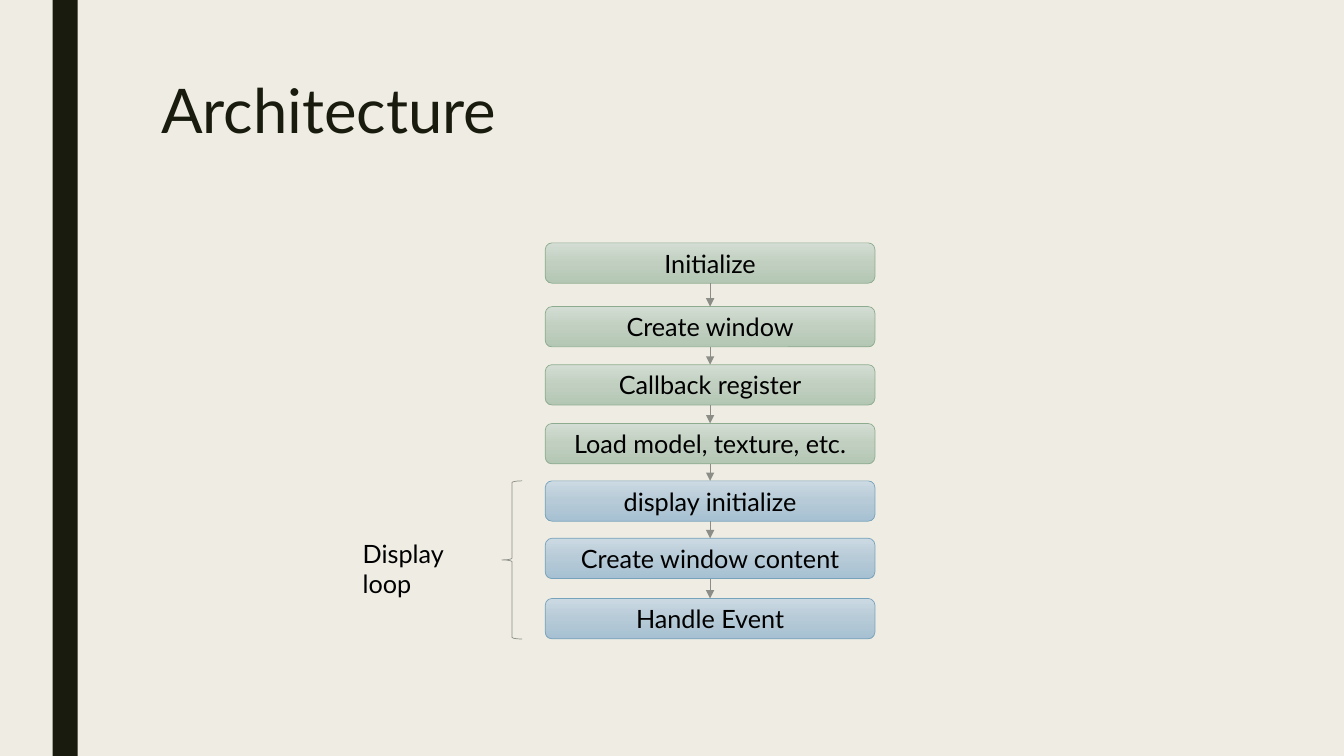
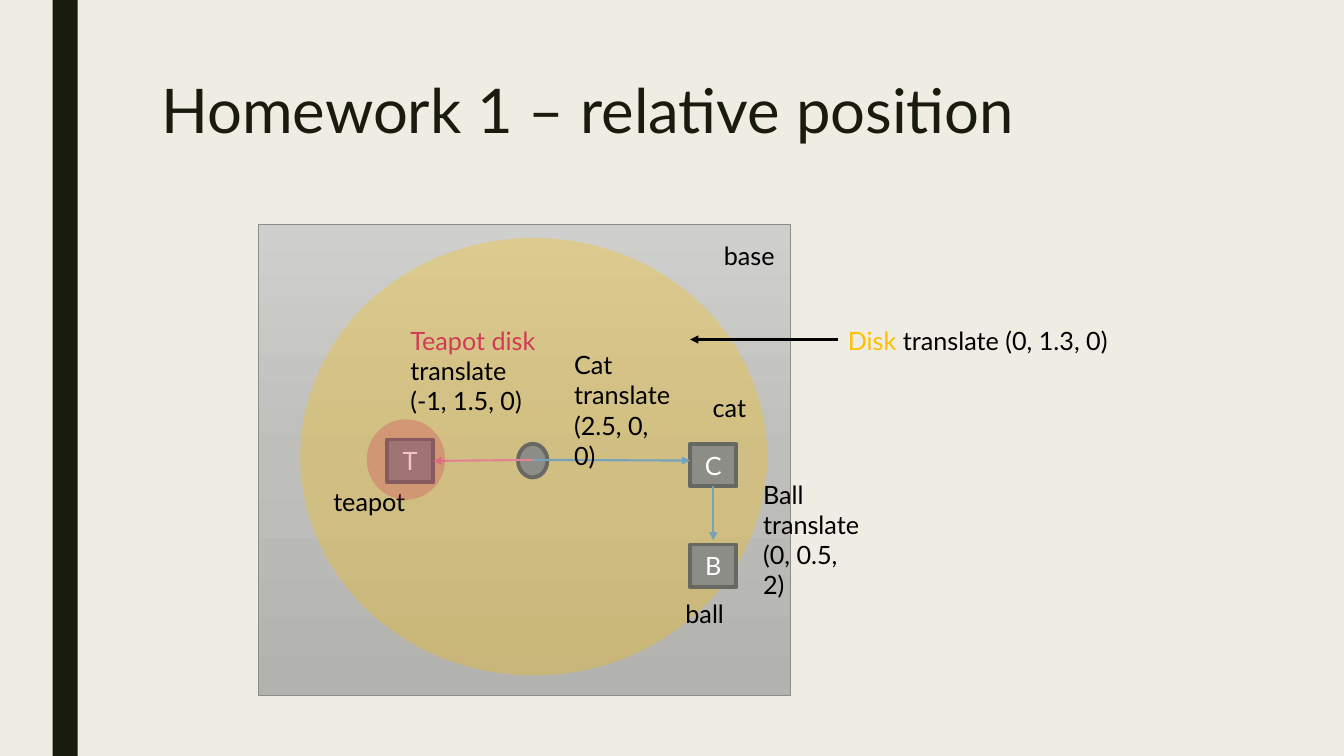
from copy import deepcopy
from dataclasses import dataclass

from lxml.etree import SubElement
from pptx import Presentation
from pptx.dml.color import RGBColor
from pptx.enum.shapes import MSO_CONNECTOR, MSO_SHAPE
from pptx.enum.text import MSO_ANCHOR, PP_ALIGN
from pptx.oxml.ns import qn
from pptx.util import Pt


@dataclass(frozen=True)
class Theme:
    font: str = "Lato"
    title_size: int = 44
    body_size: int = 18
    paper: str = "EFEDE3"
    ink: str = "191B0E"
    black: str = "000000"
    white: str = "FFFFFF"
    gray: str = "8C8D86"
    dark_gray: str = "686863"
    green: str = "8DAB8E"
    blue: str = "77A2BB"
    pink: str = "E28394"
    red: str = "D13B56"
    gold: str = "FFC000"
    green_fade: tuple = ("D3DDD3", "C0CFC0", "B4C7B5")
    blue_fade: tuple = ("CCDAE3", "B6CAD7", "A7C1D2")
    gray_fade: tuple = ("CFCFCD", "BEBEBB", "B2B3AF")
    thin: float = 0.5
    medium: float = 1.5
    thick: float = 2.75


THEME = Theme()


def add_block(slide, box, runs=(), kind=None, fill=None, opacity=None,
              outline=None, weight=THEME.thin, size=THEME.body_size, spacing=None):
    area = [Pt(length) for length in box]
    if kind is None:
        block = slide.shapes.add_textbox(*area)
    else:
        block = slide.shapes.add_shape(kind, *area)
        block.shadow.inherit = False
        if isinstance(fill, tuple):
            block.fill.gradient()
            block.fill.gradient_angle = 270
            first_stop = block.fill.gradient_stops[0]._gs
            first_stop.addnext(deepcopy(first_stop))
            for position, stop in enumerate(block.fill.gradient_stops):
                stop.position = position / 2
                stop.color.rgb = RGBColor.from_string(fill[position])
        elif fill:
            block.fill.solid()
            block.fill.fore_color.rgb = RGBColor.from_string(fill)
            if opacity:
                tint = block._element.spPr.find(".//" + qn("a:srgbClr"))
                SubElement(tint, qn("a:alpha")).set("val", str(opacity * 1000))
        else:
            block.fill.background()
        if outline:
            block.line.color.rgb = RGBColor.from_string(outline)
            block.line.width = Pt(weight)
        else:
            block.line.fill.background()
    if runs:
        frame = block.text_frame
        frame.word_wrap = True
        frame.vertical_anchor = MSO_ANCHOR.MIDDLE if kind else MSO_ANCHOR.TOP
        paragraph = frame.paragraphs[0]
        paragraph.alignment = PP_ALIGN.CENTER if kind else PP_ALIGN.LEFT
        if spacing:
            paragraph.line_spacing = spacing
        paragraph.font.name = THEME.font
        paragraph.font.size = Pt(size)
        for words, color in runs:
            if words == "\n":
                paragraph.add_line_break()
                continue
            run = paragraph.add_run()
            run.text = words
            run.font.color.rgb = RGBColor.from_string(color)
    return block


def add_arrow(slide, start, end, color, weight, source=None, target=None):
    arrow = slide.shapes.add_connector(
        MSO_CONNECTOR.STRAIGHT, *[Pt(length) for length in (*start, *end)])
    if source:
        arrow.begin_connect(*source)
    if target:
        arrow.end_connect(*target)
    arrow.line.color.rgb = RGBColor.from_string(color)
    arrow.line.width = Pt(weight)
    properties = arrow._element.spPr
    SubElement(properties.find(qn("a:ln")), qn("a:tailEnd")).set("type", "triangle")
    SubElement(properties, qn("a:effectLst"))


deck = Presentation()
deck.slide_width, deck.slide_height = Pt(960), Pt(540)
backdrop = deck.slide_master.background.fill
backdrop.solid()
backdrop.fore_color.rgb = RGBColor.from_string(THEME.paper)

slides = []
for heading in ("Architecture", "Homework 1 – relative position"):
    slide = deck.slides.add_slide(deck.slide_layouts[6])
    add_block(slide, (37.5, 0, 18, 540), kind=MSO_SHAPE.RECTANGLE, fill=THEME.ink)
    add_block(slide, (108, 54, 756, 91), [(heading, THEME.ink)],
              size=THEME.title_size, spacing=0.89)
    slides.append(slide)
architecture, homework = slides

setup = (THEME.green_fade, THEME.green)
display_loop = (THEME.blue_fade, THEME.blue)
steps = [
    ("Initialize", 173.5, setup),
    ("Create window", 219, setup),
    ("Callback register", 260.5, setup),
    ("Load model, texture, etc.", 302.5, setup),
    ("display initialize", 343.5, display_loop),
    ("Create window content", 384.5, display_loop),
    ("Handle Event", 427.5, display_loop),
]
step_left, step_width, step_height = 389.5, 235.5, 28.8
step_center = step_left + step_width / 2
previous = None
for words, top, (fade, edge) in steps:
    step = add_block(architecture, (step_left, top, step_width, step_height),
                     [(words, THEME.black)], MSO_SHAPE.ROUNDED_RECTANGLE, fade, outline=edge)
    if previous:
        add_arrow(architecture, (step_center, previous_bottom), (step_center, top),
                  THEME.gray, THEME.thin, (previous, 2), (step, 0))
    previous, previous_bottom = step, top + step_height

add_block(architecture, (358.5, 343.5, 14.5, 113), kind=MSO_SHAPE.LEFT_BRACE, outline=THEME.gray)
add_block(architecture, (252, 381, 106.4, 29), [("Display loop", THEME.black)])

add_block(homework, (184.5, 160, 380, 337), kind=MSO_SHAPE.RECTANGLE,
          fill=THEME.gray_fade, outline=THEME.gray)
add_block(homework, (214.5, 170, 333.5, 312.5), kind=MSO_SHAPE.OVAL,
          fill=THEME.gold, opacity=30)
add_block(homework, (370, 317, 21, 24), kind=MSO_SHAPE.OVAL,
          fill=THEME.gray, outline=THEME.dark_gray, weight=THEME.thick)

models = {}
for letter, left, top in (("T", 276.5, 314), ("C", 493, 317), ("B", 493, 389)):
    models[letter] = add_block(homework, (left, top, 33, 30.5), [(letter, THEME.white)],
                               MSO_SHAPE.RECTANGLE, THEME.gray,
                               outline=THEME.dark_gray, weight=THEME.thick)

hub = (381, 328.5)
for start, end, color, source, target in (
    (hub, (309.5, 329.25), THEME.pink, None, (models["T"], 3)),
    (hub, (493, 329), THEME.blue, None, None),
    ((509.5, 347.5), (509.5, 386), THEME.blue, (models["C"], 2), None),
    ((598.5, 242.5), (493, 242.5), THEME.black, None, None),
):
    add_arrow(homework, start, end, color, THEME.medium, source, target)

for left, top, width, height, runs in (
    (286, 228.5, 112, 73, [("Teapot disk ", THEME.red), ("translate", THEME.black),
                           ("\n", None), ("(-1, 1.5, 0)", THEME.black)]),
    (403, 246, 86.4, 73, [("Cat translate(2.5, 0, 0)", THEME.black)]),
    (538, 338.5, 86.4, 73, [("Ball translate(0, 0.5, 2)", THEME.black)]),
    (231, 343.5, 86.4, 29, [("teapot", THEME.black)]),
    (502, 276.5, 86.4, 29, [("cat", THEME.black)]),
    (510, 168, 86.4, 29, [("base", THEME.black)]),
    (482.5, 424, 86.4, 29, [("ball", THEME.black)]),
    (598.5, 228.5, 232.5, 29, [("Disk", THEME.gold), (" translate (0, 1.3, 0)", THEME.black)]),
):
    add_block(homework, (left, top, width, height), runs)

add_block(homework, (262, 299.5, 56, 57.5), kind=MSO_SHAPE.OVAL, fill=THEME.red, opacity=30)

deck.save("out.pptx")
